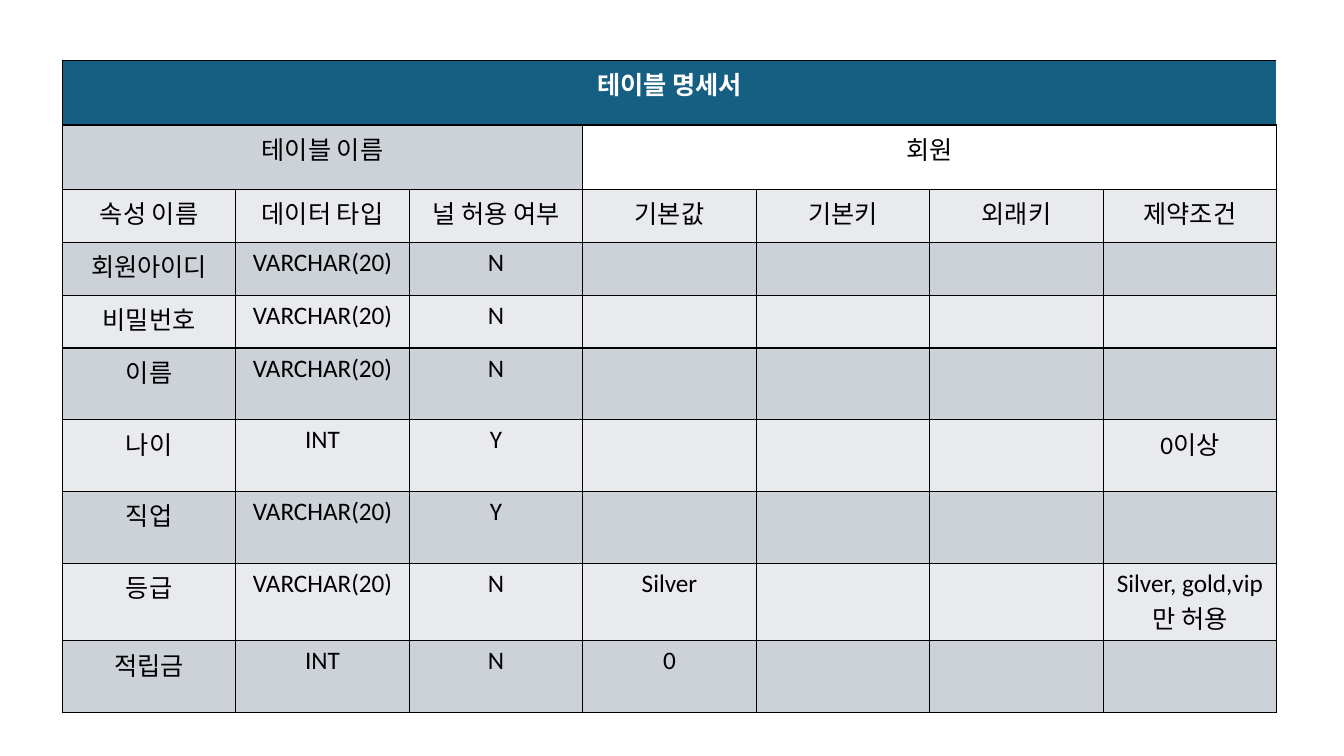
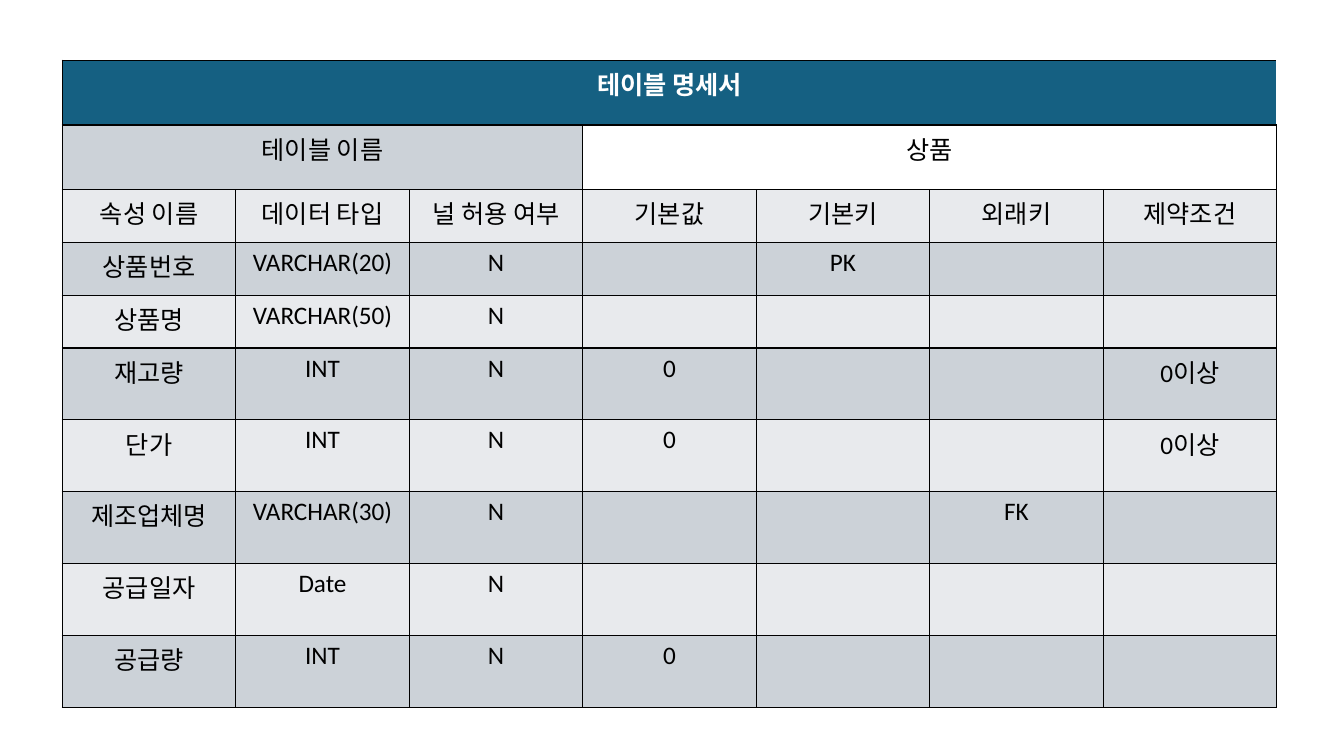
"""Build two table specification slides: members and products."""
import pptx
import pptx.util
import pptx.dml.color
import pptx.enum.text
import pptx.oxml.ns
import lxml.etree

Cm = pptx.util.Cm
RGB = pptx.dml.color.RGBColor.from_string
HUES = {"head": "156082", "dark": "CCD2D8", "light": "E8EAED",
        "ink": "000000", "white": "FFFFFF"}
LABELS = ["속성 이름", "데이터 타입", "널 허용 여부", "기본값", "기본키", "외래키", "제약조건"]
HEIGHTS = [1.63, 1.63] + [1.33] * 3 + [1.81] * 5
SPECS = {
    "회원": [
        ["회원아이디", "VARCHAR(20)", "N"],
        ["비밀번호", "VARCHAR(20)", "N"],
        ["이름", "VARCHAR(20)", "N"],
        ["나이", "INT", "Y", "", "", "", "0이상"],
        ["직업", "VARCHAR(20)", "Y"],
        ["등급", "VARCHAR(20)", "N", "Silver", "", "", "Silver, gold,vip만 허용"],
        ["적립금", "INT", "N", "0"],
    ],
    "상품": [
        ["상품번호", "VARCHAR(20)", "N", "", "PK"],
        ["상품명", "VARCHAR(50)", "N"],
        ["재고량", "INT", "N", "0", "", "", "0이상"],
        ["단가", "INT", "N", "0", "", "", "0이상"],
        ["제조업체명", "VARCHAR(30)", "N", "", "", "FK"],
        ["공급일자", "Date", "N"],
        ["공급량", "INT", "N", "0"],
    ],
}


def write(cell, text, size=18, hue="ink", bold=False):
    para = cell.text_frame.paragraphs[0]
    para.alignment = pptx.enum.text.PP_ALIGN.CENTER
    para.font.size = pptx.util.Pt(size)
    if text:
        run = para.add_run()
        run.text = text
        run.font.size = pptx.util.Pt(size)
        run.font.name = "Calibri"
        run.font.bold = bold
        run.font.color.rgb = RGB(HUES[hue])


def frame(cell, right="ink"):
    qn = pptx.oxml.ns.qn
    props = cell._tc.get_or_add_tcPr()
    for side in "LRTB":
        line = lxml.etree.SubElement(props, qn(f"a:ln{side}"), w=str(pptx.util.Pt(1)))
        fill = lxml.etree.SubElement(line, qn("a:solidFill"))
        hue = right if side == "R" else "ink"
        lxml.etree.SubElement(fill, qn("a:srgbClr"), val=HUES[hue])


deck = pptx.Presentation()
deck.slide_width, deck.slide_height = Cm(33.87), Cm(19.05)

for name, body in SPECS.items():
    slide = deck.slides.add_slide(deck.slide_layouts[6])
    rows = [["테이블 명세서"], ["테이블 이름", "", "", name], LABELS] + body
    table = slide.shapes.add_table(len(rows), len(LABELS), Cm(1.57), Cm(1.52),
                                   Cm(30.61), Cm(sum(HEIGHTS))).table
    table.horz_banding = False
    for row, height in zip(table.rows, HEIGHTS):
        row.height = Cm(height)
    for top, left, end in [(0, 0, 6), (1, 0, 2), (1, 3, 6)]:
        table.cell(top, left).merge(table.cell(top, end))

    for r, texts in enumerate(rows):
        for c in range(len(LABELS)):
            cell = table.cell(r, c)
            title = r == 0
            frame(cell, right="white" if title else "ink")
            if r == 1 and c > 2:
                cell.fill.background()
            else:
                cell.fill.solid()
                shade = "head" if title else "dark" if r % 2 else "light"
                cell.fill.fore_color.rgb = RGB(HUES[shade])
            write(cell, texts[c] if c < len(texts) else "",
                  hue="white" if title else "ink", bold=title)

deck.save("out.pptx")
